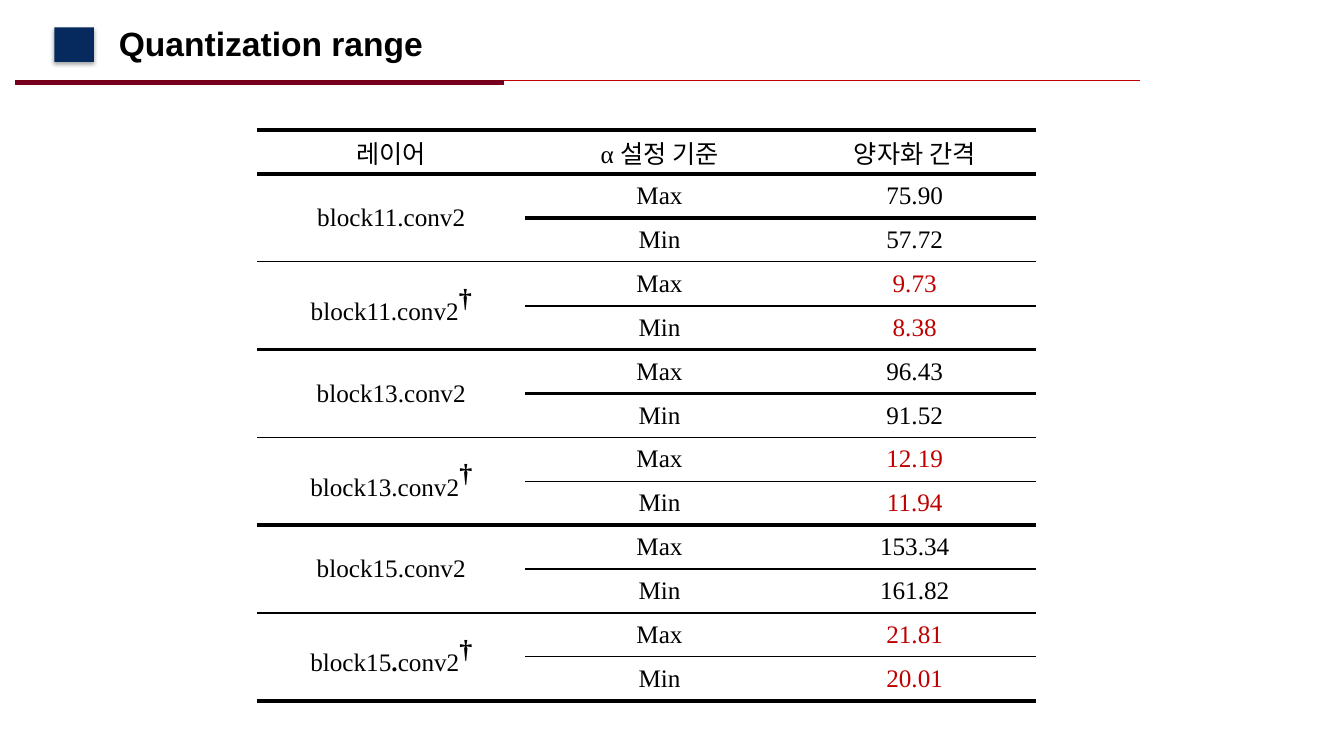
import pptx
import pptx.dml.color
import pptx.enum.shapes
import pptx.enum.text
import pptx.oxml
import pptx.util
from dataclasses import dataclass
from pptx.util import Cm

# Content
TITLE = "Quantization range"
HEADERS = ["레이어", "α 설정 기준", "양자화 간격"]
DAGGER = "†"
# layer name as runs, max, min, width of the line between max and min
LAYERS = [
    (["block11.conv2"], "75.90", "57.72", 3),
    (["block11.conv2", DAGGER], "9.73", "8.38", 1.5),
    (["block13.conv2"], "96.43", "91.52", 3),
    (["block13.conv2", DAGGER], "12.19", "11.94", 1),
    (["block15.conv2"], "153.34", "161.82", 2.25),
    (["block15", ".", "conv2", DAGGER], "21.81", "20.01", 1),
]
COLUMN_WIDTHS = [Cm(6.76), Cm(6.76), Cm(6.1)]
TABLE_LEFT, TABLE_TOP, TABLE_HEIGHT = Cm(6.48), Cm(3.28), Cm(14.38)


@dataclass(frozen=True)
class Theme:
    title_font: str = "Arial"
    table_font: str = "Times New Roman"
    title_size: int = 24
    table_size: int = 18
    dagger_size: int = 32
    thick: float = 3
    thin: float = 1
    text: str = "000000"
    accent: str = "C00000"
    bar: str = "760023"
    bar_line: str = "770010"
    marker: str = "072A5E"


THEME = Theme()
NAMESPACE = 'xmlns:a="http://schemas.openxmlformats.org/drawingml/2006/main"'


def rgb(value):
    return pptx.dml.color.RGBColor.from_string(value)


def style_run(run, font, size, color, bold=False):
    run.font.name = font
    run.font.size = pptx.util.Pt(size)
    run.font.color.rgb = rgb(color)
    run.font.bold = bold


def add_rectangle(slide, left, top, width, height, fill):
    shape = slide.shapes.add_shape(
        pptx.enum.shapes.MSO_SHAPE.RECTANGLE, left, top, width, height)
    shape.shadow.inherit = False
    shape.fill.solid()
    shape.fill.fore_color.rgb = rgb(fill)
    shape.line.fill.background()
    return shape


def set_borders(cell, top, bottom):
    properties = cell._tc.get_or_add_tcPr()
    for side, width in (("L", 0), ("R", 0), ("T", top), ("B", bottom)):
        paint = (f'<a:solidFill><a:srgbClr val="{THEME.text}"/></a:solidFill>'
                 if width else "<a:noFill/>")
        properties.append(pptx.oxml.parse_xml(
            f'<a:ln{side} {NAMESPACE} w="{pptx.util.Pt(width)}">{paint}</a:ln{side}>'))


def fill_cell(cell, texts, top, bottom, color=THEME.text):
    set_borders(cell, top, bottom)
    cell.fill.background()
    cell.vertical_anchor = pptx.enum.text.MSO_ANCHOR.MIDDLE
    cell.margin_left = cell.margin_right = Cm(0.18)
    cell.margin_top = cell.margin_bottom = 0
    paragraph = cell.text_frame.paragraphs[0]
    paragraph.alignment = pptx.enum.text.PP_ALIGN.CENTER
    for text in texts:
        run = paragraph.add_run()
        run.text = text
        is_dagger = text == DAGGER
        size = THEME.dagger_size if is_dagger else THEME.table_size
        style_run(run, THEME.table_font, size, color, text in (DAGGER, "."))
        if is_dagger:
            run.font._element.set("baseline", "30000")


def add_header(slide):
    # Rule and bar under the title
    rule = slide.shapes.add_connector(
        pptx.enum.shapes.MSO_CONNECTOR.STRAIGHT, Cm(0.38), Cm(2.03), Cm(28.73), Cm(2.03))
    rule.line.color.rgb = rgb(THEME.accent)
    rule.line.width = pptx.util.Pt(1)
    rule._element.spPr.append(pptx.oxml.parse_xml(f"<a:effectLst {NAMESPACE}/>"))
    bar = add_rectangle(slide, Cm(0.38), Cm(2.03), Cm(12.32), Cm(0.1), THEME.bar)
    bar.line.color.rgb = rgb(THEME.bar_line)
    bar.line.width = pptx.util.Pt(0.75)

    # Title
    title = slide.shapes.title
    title.left, title.top, title.width, title.height = Cm(2.74), Cm(0.46), Cm(8.97), Cm(2.31)
    frame = title.text_frame
    frame.text = TITLE
    frame.word_wrap = True
    frame.auto_size = pptx.enum.text.MSO_AUTO_SIZE.NONE
    frame.vertical_anchor = pptx.enum.text.MSO_ANCHOR.TOP
    paragraph = frame.paragraphs[0]
    paragraph.alignment = pptx.enum.text.PP_ALIGN.LEFT
    style_run(paragraph.runs[0], THEME.title_font, THEME.title_size, THEME.text, True)

    # Square marker with a soft shadow
    marker = add_rectangle(slide, Cm(1.37), Cm(0.69), Cm(1), Cm(0.87), THEME.marker)
    effects = marker._element.spPr.find(pptx.oxml.ns.qn("a:effectLst"))
    effects.append(pptx.oxml.parse_xml(
        f'<a:outerShdw {NAMESPACE} blurRad="{pptx.util.Pt(3.1)}" '
        f'dist="{pptx.util.Pt(1.8)}" dir="5400000" rotWithShape="0">'
        '<a:srgbClr val="000000"><a:alpha val="35000"/></a:srgbClr></a:outerShdw>'))


def add_range_table(slide):
    row_count = 1 + 2 * len(LAYERS)
    table = slide.shapes.add_table(
        row_count, len(HEADERS), TABLE_LEFT, TABLE_TOP,
        sum(COLUMN_WIDTHS), TABLE_HEIGHT).table
    table.first_row = table.horz_banding = False
    for column, width in zip(table.columns, COLUMN_WIDTHS):
        column.width = width
    for row in table.rows:
        row.height = TABLE_HEIGHT // row_count

    # Heading row
    for column, header in enumerate(HEADERS):
        fill_cell(table.cell(0, column), [header], THEME.thick, THEME.thick)

    # Two rows for each layer
    for index, (name, maximum, minimum, inner) in enumerate(LAYERS):
        row = 1 + 2 * index
        marked = DAGGER in name
        top, bottom = (THEME.thin, THEME.thick) if marked else (THEME.thick, THEME.thin)
        color = THEME.accent if marked else THEME.text
        fill_cell(table.cell(row, 0), name, top, bottom)
        fill_cell(table.cell(row + 1, 0), [], 0, bottom)
        table.cell(row, 0).merge(table.cell(row + 1, 0))
        for offset, label, value, edges in (
                (0, "Max", maximum, (top, inner)), (1, "Min", minimum, (inner, bottom))):
            fill_cell(table.cell(row + offset, 1), [label], *edges)
            fill_cell(table.cell(row + offset, 2), [value], *edges, color)


def main():
    presentation = pptx.Presentation()
    presentation.slide_width, presentation.slide_height = Cm(33.87), Cm(19.05)
    slide = presentation.slides.add_slide(presentation.slide_layouts[5])
    add_header(slide)
    add_range_table(slide)
    presentation.save("out.pptx")


if __name__ == "__main__":
    main()
